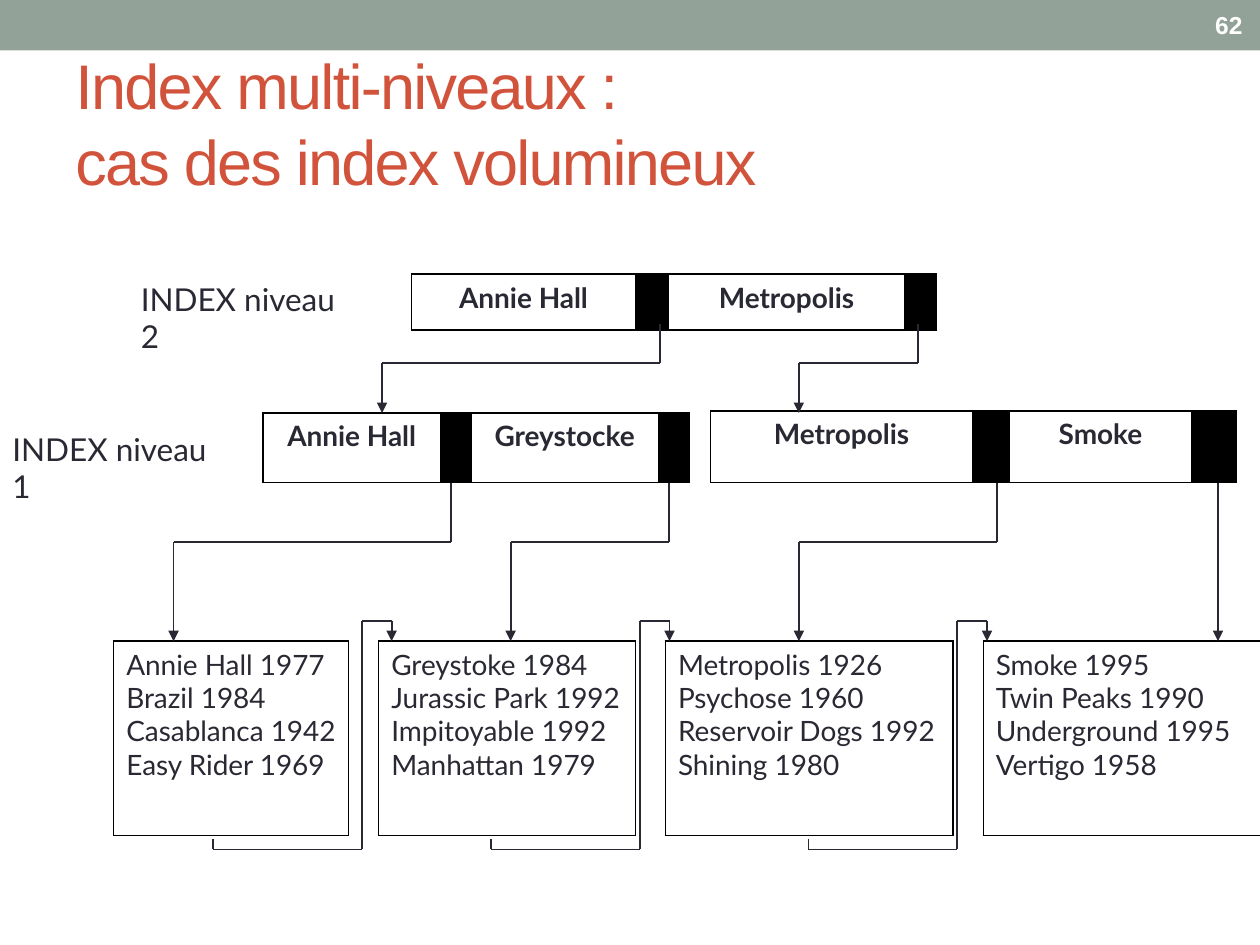
from lxml import etree
from pptx import Presentation
from pptx.dml.color import RGBColor
from pptx.enum.shapes import MSO_CONNECTOR, MSO_SHAPE
from pptx.enum.text import MSO_ANCHOR, PP_ALIGN
from pptx.oxml.ns import qn
from pptx.util import Pt

LEFT, CENTER, RIGHT = PP_ALIGN.LEFT, PP_ALIGN.CENTER, PP_ALIGN.RIGHT
TOP, MIDDLE = MSO_ANCHOR.TOP, MSO_ANCHOR.MIDDLE
STRAIGHT, RECTANGLE = MSO_CONNECTOR.STRAIGHT, MSO_SHAPE.RECTANGLE


def color(value):
    return RGBColor.from_string(value)


class IndexSlide:
    ink = "292934"
    black = "000000"
    white = "FFFFFF"
    accent = "D2533C"
    band_fill = "93A299"
    heading_font = "Arial"
    body_font = "Lato"

    def __init__(self, deck):
        self.page = deck.slides.add_slide(deck.slide_layouts[6])

    def add_lines(self, frame, lines, size, font=None, fill=None, bold=False, align=LEFT):
        for number, line in enumerate(lines):
            para = frame.add_paragraph() if number else frame.paragraphs[0]
            para.alignment = align
            span = para.add_run()
            span.text = line
            span.font.size = Pt(size)
            span.font.name = font or self.body_font
            span.font.bold = bold
            span.font.color.rgb = color(fill or self.ink)

    def band(self, left, top, width, height):
        box = self.page.shapes.add_shape(RECTANGLE, Pt(left), Pt(top), Pt(width), Pt(height))
        box.shadow.inherit = False
        box.fill.solid()
        box.fill.fore_color.rgb = color(self.band_fill)
        box.line.fill.background()

    def text(self, left, top, width, height, lines, size, anchor=TOP, **style):
        box = self.page.shapes.add_textbox(Pt(left), Pt(top), Pt(width), Pt(height))
        frame = box.text_frame
        frame.word_wrap = True
        frame.vertical_anchor = anchor
        self.add_lines(frame, lines, size, **style)
        return frame

    def title(self, left, top, width, height, lines):
        frame = self.text(left, top, width, height, lines, 36, MIDDLE,
                          font=self.heading_font, fill=self.accent)
        for para in frame.paragraphs:
            for span in para.runs:
                span._r.get_or_add_rPr().set("spc", "-100")

    def border(self, cell, sides):
        properties = cell._tc.get_or_add_tcPr()
        for side in "LRTB":
            line = etree.SubElement(properties, qn(f"a:ln{side}"), w=str(Pt(1)))
            if side in sides:
                fill = etree.SubElement(line, qn("a:solidFill"))
                etree.SubElement(fill, qn("a:srgbClr"), val=self.black)
            else:
                etree.SubElement(line, qn("a:noFill"))

    def table(self, left, top, widths, height, entries, separator, bold, align):
        frame = self.page.shapes.add_table(
            1, len(widths), Pt(left), Pt(top), Pt(sum(widths)), Pt(height))
        grid = frame.table
        grid.first_row = grid.horz_banding = False
        grid.rows[0].height = Pt(height)
        for index, width in enumerate(widths):
            grid.columns[index].width = Pt(width)
            cell = grid.cell(0, index)
            is_separator = index % 2 == 1
            self.border(cell, "LR" if is_separator and not separator else "LRTB")
            if is_separator and separator:
                cell.fill.solid()
                cell.fill.fore_color.rgb = color(separator)
            else:
                cell.fill.background()
            if not is_separator:
                self.add_lines(cell.text_frame, entries[index // 2], 16, bold=bold, align=align)

    def index(self, left, top, widths, height, keys):
        self.table(left, top, widths, height, [[key] for key in keys],
                   self.black, True, CENTER)

    def records(self, left, top, widths, height, blocks):
        self.table(left, top, widths, height, blocks, None, False, LEFT)

    def arrow(self, *points):
        for start, end in zip(points, points[1:]):
            link = self.page.shapes.add_connector(
                STRAIGHT, *(Pt(value) for value in start + end))
            link.line.width = Pt(1)
            link.line.color.rgb = color(self.ink)
            etree.SubElement(link._element.spPr, qn("a:effectLst"))
        outline = link._element.spPr.find(qn("a:ln"))
        etree.SubElement(outline, qn("a:tailEnd"), type="triangle")


def main():
    deck = Presentation()
    deck.slide_width, deck.slide_height = Pt(720), Pt(540)
    slide = IndexSlide(deck)

    slide.band(0, 0, 720, 28.8)
    slide.title(36, 31, 648, 77.8, ["Index multi-niveaux :", "cas des index volumineux"])
    slide.text(632.9, 1.4, 84.2, 25.9, ["62"], 14, MIDDLE, font=slide.heading_font,
               fill=slide.white, bold=True, align=RIGHT)
    slide.text(73.4, 156.2, 139, 29, ["INDEX niveau 2"], 18)
    slide.text(0, 241.9, 139, 29, ["INDEX niveau 1"], 18)

    slide.index(235.2, 156.7, [128, 18.7, 135.2, 18], 31.8, ["Annie Hall", "Metropolis"])
    slide.index(150.2, 236, [101.6, 17, 107.4, 17], 39.6, ["Annie Hall", "Greystocke"])
    slide.index(406, 234.8, [149.8, 20.9, 104.4, 25.2], 41, ["Metropolis", "Smoke"])

    records_top = 366.4
    slide.records(65, records_top, [134.2, 16.9, 146.6, 16.9, 164.4, 16.9, 158.4], 111, [
        ["Annie Hall 1977", "Brazil 1984", "Casablanca 1942", "Easy Rider 1969"],
        ["Greystoke 1984", "Jurassic Park 1992", "Impitoyable 1992", "Manhattan 1979"],
        ["Metropolis 1926", "Psychose 1960", "Reservoir Dogs 1992", "Shining 1980"],
        ["Smoke 1995", "Twin Peaks 1990", "Underground 1995", "Vertigo 1958"],
    ])

    for source, target in [(377.2, 218.3), (524.4, 456.5)]:
        slide.arrow((source, 185), (source, 207.6), (target, 207.6), (target, 236))
    for source, target in [(257.8, 99.2), (382.5, 291.8), (569.7, 456.5)]:
        slide.arrow((source, 275.8), (source, 309.6), (target, 309.6), (target, records_top))
    slide.arrow((696, 275.8), (696, records_top))
    for start in (121.8, 280.6, 462):
        riser, target = start + 85, start + 102
        slide.arrow((start, 479.6), (start, 485.4), (riser, 485.4), (riser, 355),
                    (target, 355), (target, records_top))

    deck.save("out.pptx")


if __name__ == "__main__":
    main()
